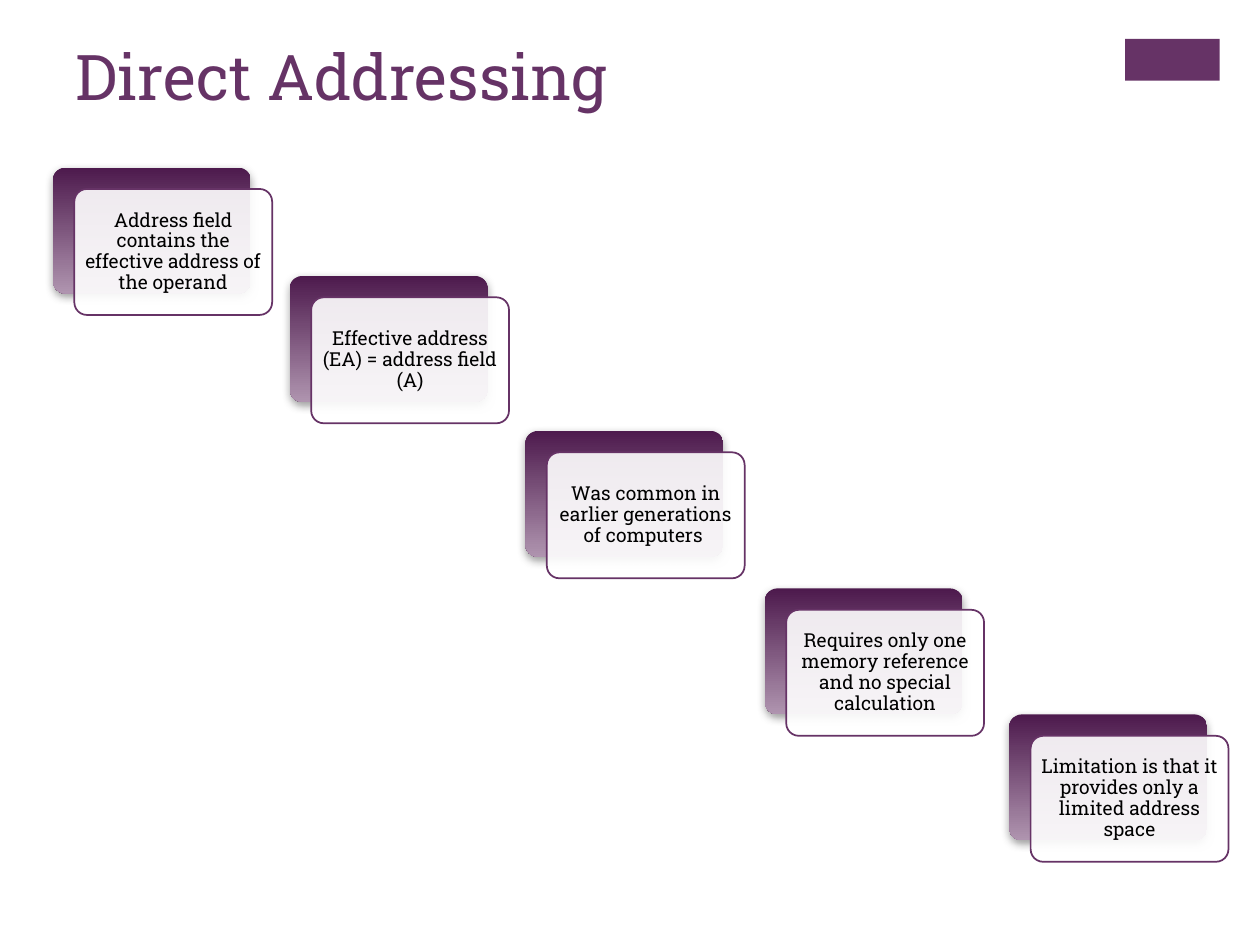
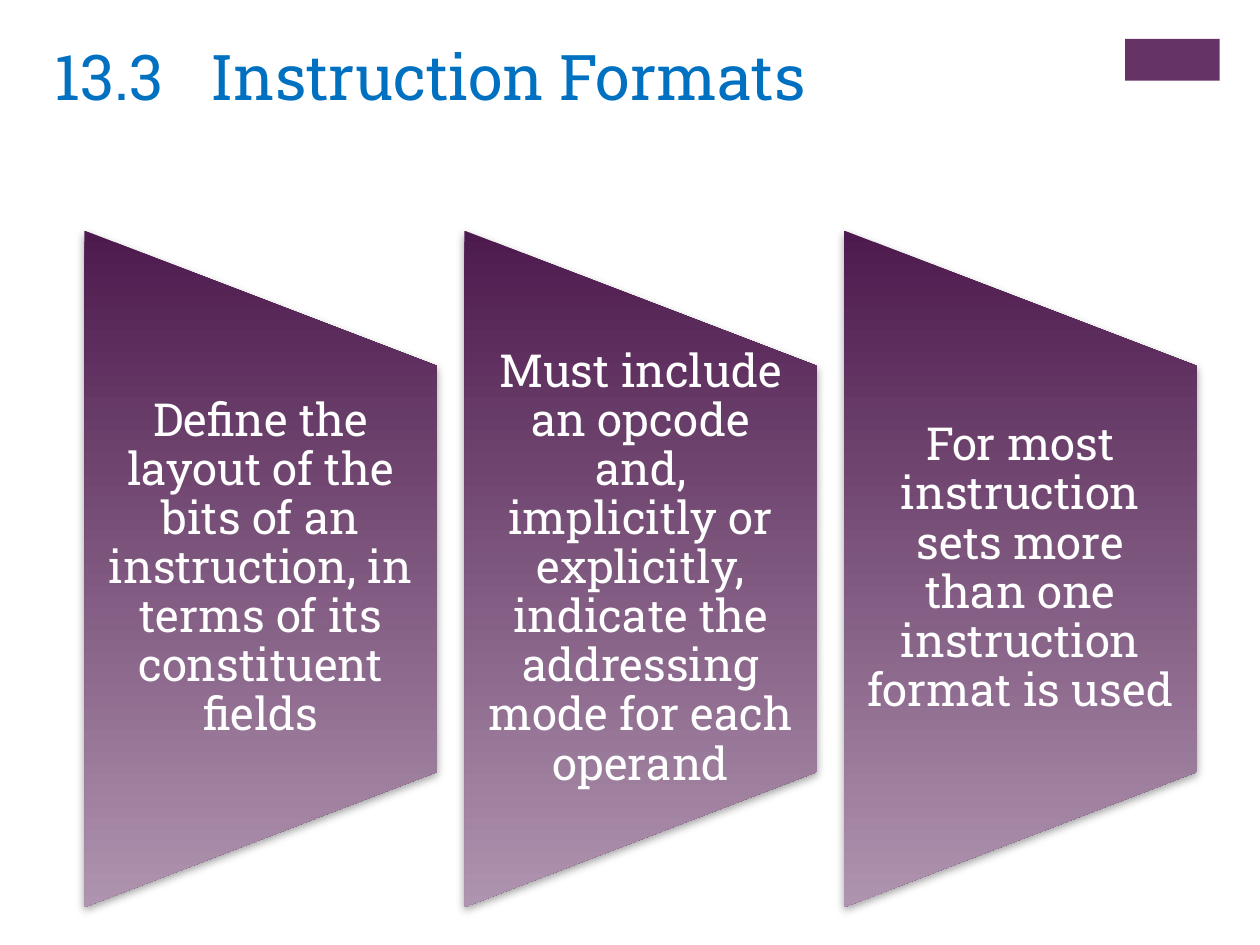
from lxml.etree import SubElement
from pptx import Presentation
from pptx.dml.color import RGBColor
from pptx.enum.shapes import MSO_SHAPE as SHAPE
from pptx.enum.text import MSO_ANCHOR as ANCHOR, MSO_AUTO_SIZE as AUTO_SIZE, PP_ALIGN as ALIGN
from pptx.oxml.ns import qn
from pptx.util import Inches, Pt

FONT = "Roboto Slab"
COLOURS = {
    "plum": "663366",
    "dark_plum": "4D1A4D",
    "pale_plum": "AF94AF",
    "blue": "0070C0",
    "shadow": "808080",
    "white": "FFFFFF",
    "black": "000000",
}
CARD_WIDTH, CARD_HEIGHT, CARD_OFFSET = 1.57, 1, 0.17

ADDRESSING_STEPS = [
    (0.42, 1.33, "Address field contains the effective address of the operand"),
    (2.3, 2.19, "Effective address (EA) = address field (A)"),
    (4.17, 3.42, "Was common in earlier generations of computers "),
    (6.07, 4.67, "Requires only one memory reference and no special calculation"),
    (8.01, 5.67, "Limitation is that it provides only a limited address space"),
]
FORMAT_POINTS = [
    "Define the layout of the bits of an instruction, in terms of its constituent fields",
    "Must include an opcode and, implicitly or explicitly, indicate the addressing mode for each operand",
    "For most instruction sets more than one instruction format is used",
]


def rgb(name):
    return RGBColor.from_string(COLOURS[name])


def box(left, top, width, height):
    return [Inches(length) for length in (left, top, width, height)]


def write(shape, text, size, colour, align=ALIGN.CENTER, anchor=ANCHOR.MIDDLE,
          inset=(0.1, 0.05), line_spacing=0.9):
    frame = shape.text_frame
    frame.text = text
    frame.word_wrap = True
    frame.auto_size = AUTO_SIZE.NONE
    frame.vertical_anchor = anchor
    frame.margin_left = frame.margin_right = Inches(inset[0])
    frame.margin_top = frame.margin_bottom = Inches(inset[1])
    paragraph = frame.paragraphs[0]
    paragraph.alignment = align
    paragraph.line_spacing = line_spacing
    font = paragraph.runs[0].font
    font.name = FONT
    font.size = Pt(size)
    font.color.rgb = rgb(colour)


def add_filled(slide, preset, place, colour):
    shape = slide.shapes.add_shape(preset, *box(*place))
    shape.shadow.inherit = False
    shape.fill.solid()
    shape.fill.fore_color.rgb = rgb(colour)
    shape.line.fill.background()
    return shape


def shade(shape):
    shape.fill.gradient()
    shape.fill.gradient_angle = 270
    for stop, colour in zip(shape.fill.gradient_stops, ("dark_plum", "pale_plum")):
        stop.color.rgb = rgb(colour)
    properties = shape._element.spPr
    properties.find(qn("a:gradFill")).set("rotWithShape", "0")
    shadow = SubElement(properties.find(qn("a:effectLst")), qn("a:outerShdw"),
                        blurRad=str(Pt(5)), dist=str(Pt(2)), dir="5400000", rotWithShape="0")
    tint = SubElement(shadow, qn("a:srgbClr"), val=COLOURS["shadow"])
    SubElement(tint, qn("a:alpha"), val="75000")


def add_titled_slide(prs, title, left, colour):
    slide = prs.slides.add_slide(prs.slide_layouts[5])
    add_filled(slide, SHAPE.RECTANGLE, (8.93, 0.31, 0.75, 0.33), "plum")
    heading = slide.shapes.title
    heading.left, heading.top, heading.width, heading.height = box(left, 0.25, 8.26, 1.22)
    write(heading, title, 36, colour, ALIGN.LEFT, ANCHOR.TOP, line_spacing=1)
    return slide


def add_step_card(slide, left, top, text):
    back = add_filled(slide, SHAPE.ROUNDED_RECTANGLE,
                      (left, top, CARD_WIDTH, CARD_HEIGHT), "plum")
    shade(back)
    front = add_filled(slide, SHAPE.ROUNDED_RECTANGLE,
                       (left + CARD_OFFSET, top + CARD_OFFSET, CARD_WIDTH, CARD_HEIGHT), "white")
    for card in (back, front):
        card.adjustments[0] = 0.1
    white = front._element.spPr.find(qn("a:solidFill")).find(qn("a:srgbClr"))
    SubElement(white, qn("a:alpha"), val="90000")
    front.line.color.rgb = rgb("plum")
    front.line.width = Pt(1)
    write(front, text, 11, "black", inset=(0.05, 0.05))


def add_format_panel(slide, left, top, width, height, text):
    turned = (left + (width - height) / 2, top + (height - width) / 2, height, width)
    panel = add_filled(slide, SHAPE.FLOWCHART_MANUAL_OPERATION, turned, "plum")
    panel.rotation = 270
    shade(panel)
    label = slide.shapes.add_textbox(*box(left, top + 0.2 * height, width, 0.6 * height))
    write(label, text, 26, "white", inset=(0.18, 0))


def add_format_panels(slide, left, top, width, height, panel_width):
    step = (width - panel_width) / (len(FORMAT_POINTS) - 1)
    for index, point in enumerate(FORMAT_POINTS):
        add_format_panel(slide, left + index * step, top, panel_width, height, point)


def build_direct_addressing(prs):
    slide = add_titled_slide(prs, "Direct Addressing", 0.5, "plum")
    for left, top, text in ADDRESSING_STEPS:
        add_step_card(slide, left, top, text)


def build_instruction_formats(prs):
    slide = add_titled_slide(prs, "13.3   Instruction Formats", 0.33, "blue")
    add_format_panels(slide, 0.67, 1.83, 8.83, 5.37, 2.8)


def main():
    prs = Presentation()
    prs.slide_width, prs.slide_height = Inches(10), Inches(7.5)
    build_direct_addressing(prs)
    build_instruction_formats(prs)
    prs.save("out.pptx")


if __name__ == "__main__":
    main()
